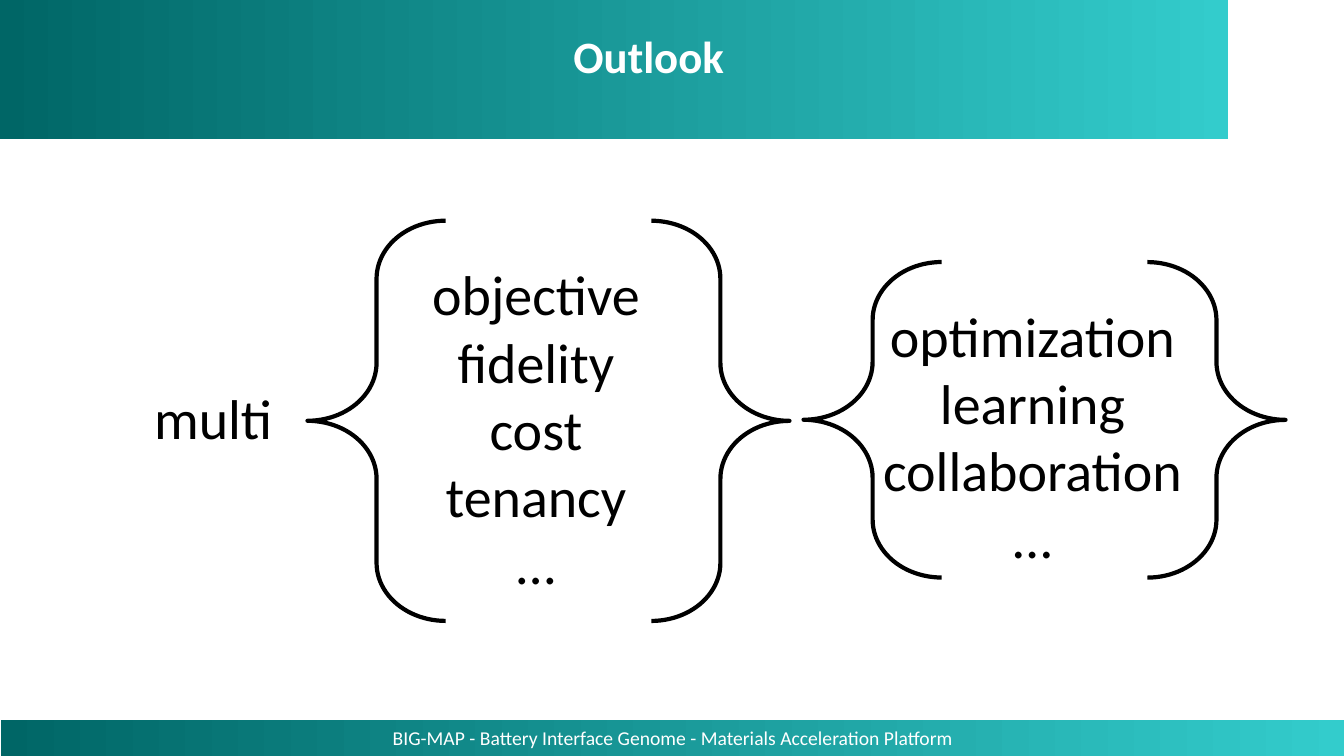
import pptx
import pptx.util
import pptx.dml.color
import pptx.enum.shapes
import pptx.enum.text

Inches = pptx.util.Inches
Pt = pptx.util.Pt
Align = pptx.enum.text.PP_ALIGN
Anchor = pptx.enum.text.MSO_ANCHOR

# Content
TITLE = "Outlook"
FOOTER = "BIG-MAP - Battery Interface Genome - Materials Acceleration Platform"
PREFIX = ["multi"]
GROUPS = [
    {
        "words": ["objective", "fidelity", "cost", "tenancy", "…"],
        "text_box": (4.17, 2.53, 2.29, 3.47),
        "brace_lefts": (3.05, 6.46),
        "brace_top": 2.19,
        "brace_height": 3.97,
    },
    {
        "words": ["optimization", "learning", "collaboration", "…"],
        "text_box": (8.64, 2.94, 3.2, 2.79),
        "brace_lefts": (7.97, 11.38),
        "brace_top": 2.6,
        "brace_height": 3.13,
    },
]

# Style
FONT = "Calibri"
WHITE, BLACK = "FFFFFF", "000000"
BAND_COLORS = ("006666", "33CCCC")
BRACE_WIDTH = 1.37


def color(hex_string):
    return pptx.dml.color.RGBColor.from_string(hex_string)


def write(text_frame, lines, size, hex_string, alignment, bold=False):
    text_frame.text = "\n".join(lines)
    for paragraph in text_frame.paragraphs:
        paragraph.alignment = alignment
        paragraph.font.name = FONT
        paragraph.font.size = Pt(size)
        paragraph.font.bold = bold
        paragraph.font.color.rgb = color(hex_string)


def add_band(slide, *box):
    band = slide.shapes.add_shape(
        pptx.enum.shapes.MSO_SHAPE.RECTANGLE, *map(Inches, box))
    band.shadow.inherit = False
    band.line.fill.background()
    band.fill.gradient()
    band.fill.gradient_angle = 0
    for stop, hex_string in zip(band.fill.gradient_stops, BAND_COLORS):
        stop.color.rgb = color(hex_string)
    return band


def add_words(slide, words, box, alignment):
    text_box = slide.shapes.add_textbox(*map(Inches, box))
    text_box.text_frame.word_wrap = False
    text_box.text_frame.auto_size = pptx.enum.text.MSO_AUTO_SIZE.SHAPE_TO_FIT_TEXT
    write(text_box.text_frame, words, 40, BLACK, alignment)


def add_brace(slide, left, top, height, rotation):
    brace = slide.shapes.add_shape(
        pptx.enum.shapes.MSO_SHAPE.LEFT_BRACE,
        *map(Inches, (left, top, BRACE_WIDTH, height)))
    brace.shadow.inherit = False
    brace.fill.background()
    brace.line.color.rgb = color(BLACK)
    brace.line.width = Pt(3)
    brace.adjustments[0] = 0.42
    brace.adjustments[1] = 0.5
    brace.rotation = rotation


def main():
    presentation = pptx.Presentation()
    presentation.slide_width = Inches(13.33)
    presentation.slide_height = Inches(7.5)
    slide = presentation.slides.add_slide(presentation.slide_layouts[5])

    # Header and footer bands
    add_band(slide, 0, -0.01, 12.18, 1.39)
    footer = add_band(slide, 0.01, 7.14, 13.33, 0.36)
    footer.text_frame.vertical_anchor = Anchor.MIDDLE
    write(footer.text_frame, [FOOTER], 14, WHITE, Align.CENTER)

    # Title, brought in front of the bands
    title = slide.shapes.title
    title.left, title.top, title.width, title.height = map(
        Inches, (0.69, 0.29, 11.49, 1.1))
    title.text_frame.vertical_anchor = Anchor.TOP
    write(title.text_frame, [TITLE], 32, WHITE, Align.CENTER, bold=True)
    title.text_frame.paragraphs[0].line_spacing = 0.9
    footer.element.addnext(title.element)

    # Prefix and the word groups between braces
    add_words(slide, PREFIX, (1.43, 3.76, 1.48, 0.77), Align.LEFT)
    for group in GROUPS:
        add_words(slide, group["words"], group["text_box"], Align.CENTER)
        for left, rotation in zip(group["brace_lefts"], (0, 180)):
            add_brace(slide, left, group["brace_top"],
                      group["brace_height"], rotation)

    presentation.save("out.pptx")


if __name__ == "__main__":
    main()
